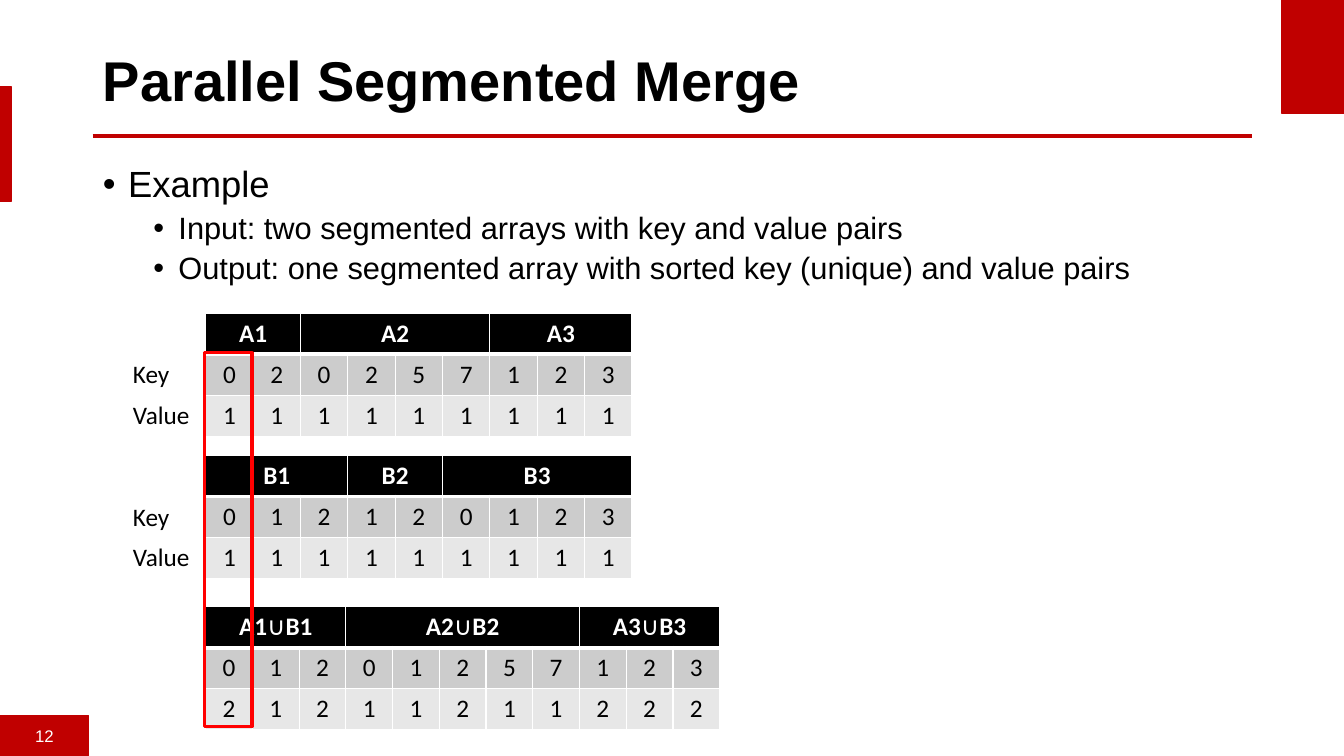
from lxml import etree
from pptx import Presentation
from pptx.dml.color import RGBColor
from pptx.enum.shapes import MSO_CONNECTOR, MSO_SHAPE
from pptx.enum.text import MSO_ANCHOR, MSO_AUTO_SIZE, PP_ALIGN
from pptx.oxml.ns import qn
from pptx.util import Inches, Pt

BLACK = RGBColor(0x00, 0x00, 0x00)
WHITE = RGBColor(0xFF, 0xFF, 0xFF)
ACCENT = RGBColor(0xC0, 0x00, 0x00)
HIGHLIGHT = RGBColor(0xFF, 0x00, 0x00)
KEY_GRAY = RGBColor(0xCC, 0xCC, 0xCC)
VALUE_GRAY = RGBColor(0xE7, 0xE7, 0xE7)
LEFT, CENTER = PP_ALIGN.LEFT, PP_ALIGN.CENTER
MIDDLE = MSO_ANCHOR.MIDDLE
RECTANGLE = MSO_SHAPE.RECTANGLE

# Grid in inches
MARGIN, CONTENT_WIDTH = 0.92, 11.5
TABLE_LEFT, ROW_HEIGHT = 2.04, 0.4
LABEL_LEFT = 1.22


def style_text(paragraph, font, size, color, bold=False, align=LEFT):
    paragraph.alignment = align
    for span in paragraph.runs:
        span.font.name = font
        span.font.size = Pt(size)
        span.font.bold = bold and span.text != "∪"
        span.font.color.rgb = color


def set_borders(cell, top, bottom):
    properties = cell._tc.get_or_add_tcPr()
    widths = {"a:lnL": 1, "a:lnR": 1, "a:lnT": top, "a:lnB": bottom}
    for position, (side, width) in enumerate(widths.items()):
        line = etree.Element(qn(side), w=str(Pt(width)))
        fill = etree.SubElement(line, qn("a:solidFill"))
        etree.SubElement(fill, qn("a:srgbClr"), val=str(WHITE))
        properties.insert(position, line)


deck = Presentation()
deck.slide_width, deck.slide_height = Inches(13.33), Inches(7.5)
page = deck.slides.add_slide(deck.slide_layouts[1])
shapes = page.shapes

# Red rule under the title
rule = shapes.add_connector(
    MSO_CONNECTOR.STRAIGHT, Inches(MARGIN), Inches(1.35),
    Inches(MARGIN + CONTENT_WIDTH), Inches(1.35))
rule.line.color.rgb = ACCENT
rule.line.width = Pt(3)
etree.SubElement(rule._element.spPr, qn("a:effectLst"))

# Red blocks at the edges, the last one with the page number
for left, top, width, height, outline, label in [
        (12.71, 0, 0.62, 1.12, 1, ""),
        (0, 0.86, 0.11, 1.14, 1, ""),
        (0, 7.1, 0.88, 0.4, 0.75, "12")]:
    block = shapes.add_shape(
        RECTANGLE, Inches(left), Inches(top), Inches(width), Inches(height))
    block.shadow.inherit = False
    block.fill.solid()
    block.fill.fore_color.rgb = ACCENT
    block.line.color.rgb = ACCENT
    block.line.width = Pt(outline)
    if label:
        block.text_frame.text = label
        block.text_frame.vertical_anchor = MIDDLE
        style_text(block.text_frame.paragraphs[0], "Arial", 12, WHITE, align=CENTER)

# Title
title = shapes.title
title.left, title.top = Inches(MARGIN), Inches(0.28)
title.width, title.height = Inches(CONTENT_WIDTH), Inches(1.1)
title.text_frame.text = "Parallel Segmented Merge"
title.text_frame.vertical_anchor = MIDDLE
heading = title.text_frame.paragraphs[0]
heading.line_spacing = 0.9
style_text(heading, "Arial", 40, BLACK, bold=True)

# Bulleted body
body = page.placeholders[1]
body.left, body.top = Inches(MARGIN), Inches(1.6)
body.width, body.height = Inches(CONTENT_WIDTH), Inches(5.15)
bullets = [
    (0, "Example"),
    (1, "Input: two segmented arrays with key and value pairs"),
    (1, "Output: one segmented array with sorted key (unique) and value pairs"),
]
body.text_frame.text = "\n".join(text for level, text in bullets)
for para, (level, text) in zip(body.text_frame.paragraphs, bullets):
    para.level = level
    para.line_spacing = 0.9
    para.space_before = Pt(5 if level else 10)
    style_text(para, "Arial", 22 if level else 26, BLACK)
    properties = para._p.get_or_add_pPr()
    properties.set("marL", str(Inches(0.25 + 0.5 * level)))
    properties.set("indent", str(Inches(-0.25)))
    etree.SubElement(properties, qn("a:buFont"), typeface="Arial")
    etree.SubElement(properties, qn("a:buChar"), char="•")

# Segmented arrays: top, width, segments with their lengths, keys, values
arrays = [
    (3.11, 4.23, [("A1", 2), ("A2", 4), ("A3", 3)], "020257123", "111111111"),
    (4.52, 4.23, [("B1", 3), ("B2", 2), ("B3", 4)], "012120123", "111111111"),
    (6.02, 5.1, [("A1∪B1", 3), ("A2∪B2", 5), ("A3∪B3", 3)],
     "01201257123", "21211211222"),
]
for top, width, segments, keys, values in arrays:
    frame = shapes.add_table(
        3, len(keys), Inches(TABLE_LEFT), Inches(top),
        Inches(width), Inches(3 * ROW_HEIGHT))
    table = frame.table
    table.first_row = table.horz_banding = False
    for column in table.columns:
        column.width = Inches(width / len(keys))

    # Fills and borders, with a thick line under the header
    for row, (color, above, below) in enumerate(
            [(BLACK, 1, 3), (KEY_GRAY, 3, 1), (VALUE_GRAY, 1, 1)]):
        for cell in table.rows[row].cells:
            cell.fill.solid()
            cell.fill.fore_color.rgb = color
            set_borders(cell, above, below)

    # Segment names, with the union sign in a run of its own
    start = 0
    for name, length in segments:
        header = table.cell(0, start)
        header.merge(table.cell(0, start + length - 1))
        para = header.text_frame.paragraphs[0]
        for part in filter(None, name.partition("∪")):
            para.add_run().text = part
        style_text(para, "Calibri", 18, WHITE, bold=True, align=CENTER)
        start += length

    # Keys and values
    for row, digits in enumerate([keys, values], start=1):
        for cell, digit in zip(table.rows[row].cells, digits):
            cell.text_frame.text = digit
            style_text(cell.text_frame.paragraphs[0], "Calibri", 18, BLACK, align=CENTER)

# Row labels beside the two input arrays
for top, *rest in arrays[:2]:
    for row, (label, width) in enumerate([("Key", 0.57), ("Value", 0.77)], start=1):
        box = shapes.add_textbox(
            Inches(LABEL_LEFT), Inches(top + row * ROW_HEIGHT),
            Inches(width), Inches(ROW_HEIGHT))
        box.text_frame.word_wrap = False
        box.text_frame.auto_size = MSO_AUTO_SIZE.SHAPE_TO_FIT_TEXT
        box.text_frame.text = label
        style_text(box.text_frame.paragraphs[0], "Calibri", 18, BLACK)

# Red frame around the first column
marker = shapes.add_shape(
    RECTANGLE, Inches(2.03), Inches(3.5), Inches(0.47), Inches(3.71))
marker.shadow.inherit = False
marker.fill.background()
marker.line.color.rgb = HIGHLIGHT
marker.line.width = Pt(2.25)

deck.save("out.pptx")
